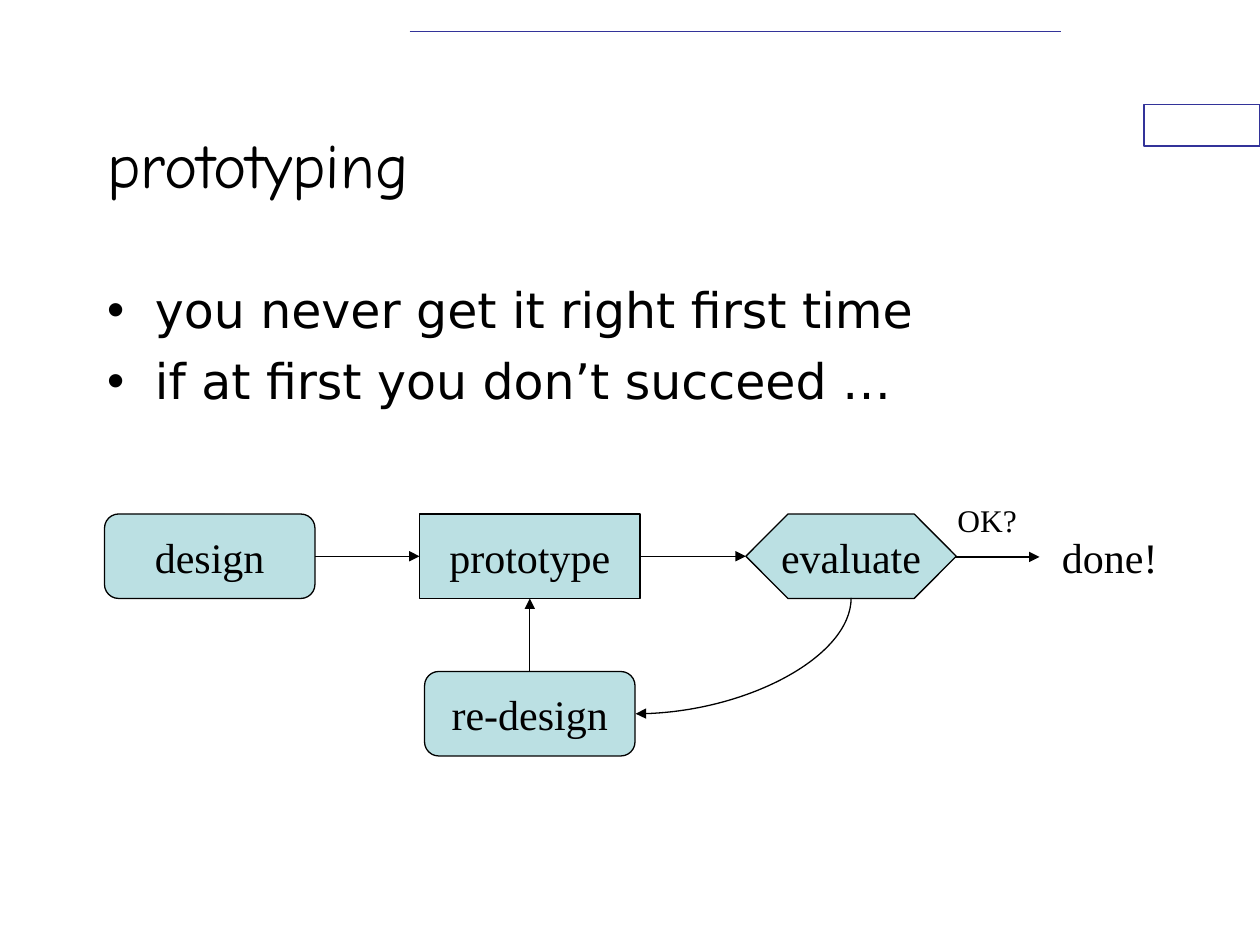
from dataclasses import dataclass

from lxml import etree
from pptx import Presentation
from pptx.dml.color import RGBColor
from pptx.enum import shapes, text
from pptx.oxml import ns
from pptx.util import Inches, Pt

BLACK = RGBColor(0x00, 0x00, 0x00)
WHITE = RGBColor(0xFF, 0xFF, 0xFF)
INDIGO = RGBColor(0x33, 0x33, 0x99)
PALE_TEAL = RGBColor(0xBB, 0xE0, 0xE3)
TITLE_FONT, BODY_FONT, DIAGRAM_FONT = "Comic Neue", "DejaVu Sans", "Times New Roman"

STEP_HEIGHT = 0.67
MAIN_ROW, REWORK_ROW = 4.08, 5.33
TOP, LEFT, BOTTOM, RIGHT = range(4)


@dataclass
class Step:
    label: str
    left: float
    top: float
    width: float
    outline: shapes.MSO_SHAPE


@dataclass
class Label:
    wording: str
    left: float
    top: float
    width: float
    height: float
    size: int


STEPS = [
    Step("prototype", 3.33, MAIN_ROW, 1.75, shapes.MSO_SHAPE.FLOWCHART_PROCESS),
    Step("evaluate", 5.92, MAIN_ROW, 1.67, shapes.MSO_SHAPE.FLOWCHART_PREPARATION),
    Step("design", 0.83, MAIN_ROW, 1.67, shapes.MSO_SHAPE.FLOWCHART_ALTERNATE_PROCESS),
    Step("re-design", 3.37, REWORK_ROW, 1.67, shapes.MSO_SHAPE.FLOWCHART_ALTERNATE_PROCESS),
]
FLOWS = [
    ("prototype", RIGHT, "evaluate", LEFT),
    ("design", RIGHT, "prototype", LEFT),
    ("re-design", TOP, "prototype", BOTTOM),
]
LABELS = [
    Label("done!", 8.33, 4.17, 0.96, 0.5, 24),
    Label("OK?", 7.5, 3.93, 0.67, 0.4, 18),
]


def write(frame, *lines: str, font: str, size: float, align=text.PP_ALIGN.LEFT,
          anchor=text.MSO_ANCHOR.TOP, wrap: bool = True, before: float = 0) -> None:
    frame.auto_size = text.MSO_AUTO_SIZE.NONE
    frame.word_wrap = wrap
    frame.vertical_anchor = anchor
    for index, line in enumerate(lines):
        paragraph = frame.add_paragraph() if index else frame.paragraphs[0]
        paragraph.alignment = align
        paragraph.space_before = Pt(before)
        run = paragraph.add_run()
        run.text = line
        run.font.name, run.font.size = font, Pt(size)
        run.font.color.rgb = BLACK


def place(shape, left: float, top: float, width: float, height: float) -> None:
    shape.left, shape.top = Inches(left), Inches(top)
    shape.width, shape.height = Inches(width), Inches(height)


def add_bullets(frame) -> None:
    for paragraph in frame.paragraphs:
        properties = paragraph._p.get_or_add_pPr()
        properties.set("marL", str(Inches(0.38)))
        properties.set("indent", str(Inches(-0.38)))
        etree.SubElement(properties, ns.qn("a:buChar")).set("char", "•")


def add_panel(slide, outline, left: float, top: float, width: float, height: float,
              fill: RGBColor, line: RGBColor):
    panel = slide.shapes.add_shape(
        outline, Inches(left), Inches(top), Inches(width), Inches(height))
    panel.shadow.inherit = False
    panel.fill.solid()
    panel.fill.fore_color.rgb = fill
    panel.line.color.rgb = line
    panel.line.width = Pt(0.75)
    return panel


def add_line(slide, start: tuple[float, float], end: tuple[float, float],
             color: RGBColor = BLACK, width: float = 0.75, arrow: bool = True,
             kind=shapes.MSO_CONNECTOR.STRAIGHT):
    line = slide.shapes.add_connector(kind, *map(Inches, start + end))
    line.line.color.rgb = color
    line.line.width = Pt(width)
    if arrow:
        head = etree.SubElement(line.line._get_or_add_ln(), ns.qn("a:tailEnd"))
        head.set("type", "triangle")
    etree.SubElement(line._element.spPr, ns.qn("a:effectLst"))
    return line


def add_rework_curve(slide) -> None:
    curve = add_line(slide, (5.44, 4.35), (6.36, 6.06), kind=shapes.MSO_CONNECTOR.CURVE)
    properties = curve._element.spPr
    properties.find(ns.qn("a:prstGeom")).set("prst", "curvedConnector2")
    properties.find(ns.qn("a:xfrm")).set("rot", str(90 * 60000))


def add_step(slide, step: Step):
    panel = add_panel(slide, step.outline, step.left, step.top, step.width, STEP_HEIGHT,
                      PALE_TEAL, BLACK)
    write(panel.text_frame, step.label, font=DIAGRAM_FONT, size=24, wrap=False,
          align=text.PP_ALIGN.CENTER, anchor=text.MSO_ANCHOR.MIDDLE)
    return panel


def add_label(slide, label: Label) -> None:
    box = slide.shapes.add_textbox(Inches(label.left), Inches(label.top),
                                   Inches(label.width), Inches(label.height))
    write(box.text_frame, label.wording, font=DIAGRAM_FONT, size=label.size, wrap=False)


def main() -> None:
    deck = Presentation()
    deck.slide_width, deck.slide_height = Inches(10), Inches(7.5)
    slide = deck.slides.add_slide(deck.slide_layouts[1])

    add_panel(slide, shapes.MSO_SHAPE.RECTANGLE, 9.08, 0.83, 0.92, 0.33, WHITE, INDIGO)
    add_line(slide, (3.25, 0.25), (8.42, 0.25), color=INDIGO, width=1, arrow=False)

    heading, advice = slide.placeholders
    place(heading, 0.75, 0.67, 7.5, 1.25)
    write(heading.text_frame, "prototyping", font=TITLE_FONT, size=36,
          anchor=text.MSO_ANCHOR.MIDDLE)
    place(advice, 0.75, 2.17, 8.5, 4.5)
    write(advice.text_frame, "you never get it right first time",
          "if at first you don’t succeed …", font=BODY_FONT, size=28, before=7)
    add_bullets(advice.text_frame)

    steps = {step.label: add_step(slide, step) for step in STEPS}
    for source, source_side, target, target_side in FLOWS:
        flow = add_line(slide, (0, 0), (1, 1))
        flow.begin_connect(steps[source], source_side)
        flow.end_connect(steps[target], target_side)
    add_rework_curve(slide)
    add_line(slide, (7.58, 4.42), (8.25, 4.42))
    for label in LABELS:
        add_label(slide, label)

    deck.save("out.pptx")


if __name__ == "__main__":
    main()
